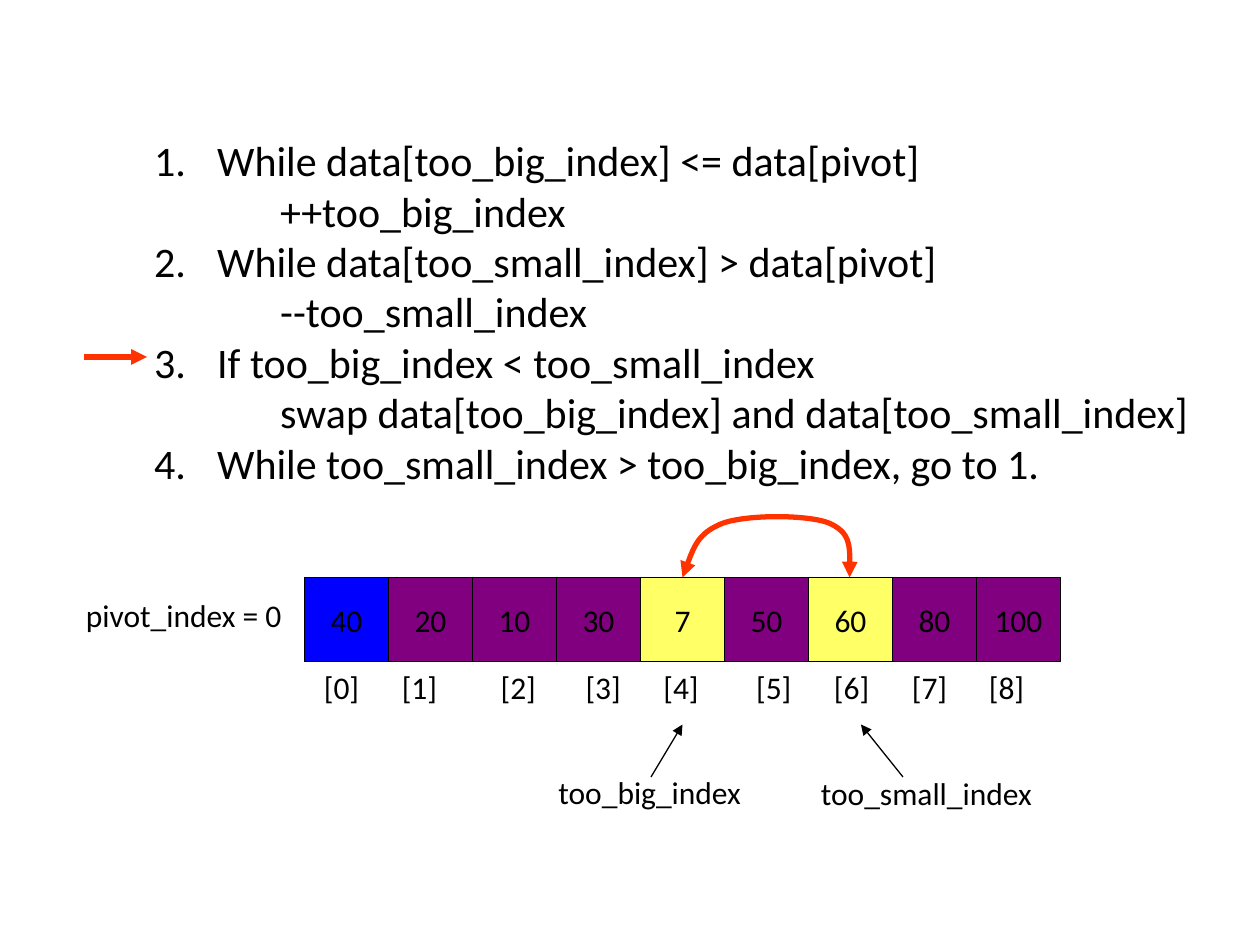
from dataclasses import dataclass

import pptx
import pptx.dml.color
import pptx.enum.shapes
import pptx.enum.text
import pptx.oxml
import pptx.oxml.ns
import pptx.util
from lxml import etree

Pt = pptx.util.Pt
qn = pptx.oxml.ns.qn


@dataclass(frozen=True)
class Theme:
    font: str = "Calibri"
    step_size: float = 24
    label_size: float = 18
    ink: str = "000000"
    pivot: str = "0000FF"
    cell: str = "800080"
    swapped: str = "FFFF66"
    accent: str = "FF3300"
    thin: float = 0.75
    thick: float = 3


@dataclass(frozen=True)
class Label:
    text: str
    left: float
    top: float
    width: float
    wrap: bool = True
    tabs: tuple = ()


@dataclass(frozen=True)
class Arrow:
    start: tuple
    end: tuple
    color: str
    weight: float


THEME = Theme()

# Algorithm steps: (numbered line, indented action)
STEPS = [
    ("While data[too_big_index] <= data[pivot]", "++too_big_index"),
    ("While data[too_small_index] > data[pivot]", "--too_small_index"),
    ("If too_big_index < too_small_index",
     "swap data[too_big_index] and data[too_small_index]"),
    ("While too_small_index > too_big_index, go to 1.", ""),
]

# Array row
VALUES = [40, 20, 10, 30, 7, 50, 60, 80, 100]
CELL_FILLS = {0: THEME.pivot, 4: THEME.swapped, 6: THEME.swapped}
ROW_LEFT, ROW_TOP, CELL_SIDE = 174, 330, 48

LABELS = [
    Label("pivot_index = 0", 42, 337, 129, wrap=False),
    Label("too_big_index", 312, 438, 228),
    Label("too_small_index", 462, 439, 168),
    Label("\t".join(f"[{i}]" for i in range(len(VALUES))), 178, 378, 423,
          tabs=(44.5, 101, 149.5, 194, 247, 291.5, 336, 380)),
]

ARROWS = [
    Arrow((516, 444), (492, 414), THEME.ink, THEME.thin),
    Arrow((372, 444), (390, 414), THEME.ink, THEME.thin),
    Arrow((48, 204), (84, 204), THEME.accent, THEME.thick),
]

# Start point, then three points for each cubic segment
SWAP_CURVE = [
    (390, 330),
    (394.5, 317), (399, 304.5), (413, 299),
    (427, 294), (461.5, 294), (474, 299),
    (486, 304.5), (486, 317), (485.5, 330),
]


def rgb(color: str) -> pptx.dml.color.RGBColor:
    return pptx.dml.color.RGBColor.from_string(color)


def assign(target, values: dict) -> None:
    for name, value in values.items():
        setattr(target, name, value)


def add_span(para, text: str, size: float) -> None:
    span = para.add_run()
    span.text = text
    assign(span.font, {"name": THEME.font, "size": Pt(size)})
    span.font.color.rgb = rgb(THEME.ink)


def style_line(line, color: str, weight: float, ends: tuple = ()) -> None:
    line.color.rgb = rgb(color)
    line.width = Pt(weight)
    for end in ends:
        etree.SubElement(line._ln, qn(f"a:{end}"), type="triangle")


def add_box(page, left: float, top: float, width: float, height: float,
            wrap: bool):
    box = page.shapes.add_textbox(Pt(left), Pt(top), Pt(width), Pt(height))
    assign(box.text_frame, {
        "word_wrap": wrap,
        "auto_size": pptx.enum.text.MSO_AUTO_SIZE.SHAPE_TO_FIT_TEXT,
    })
    return box.text_frame


def add_steps(page) -> None:
    frame = add_box(page, 81, 73.5, 611, 211, wrap=False)
    lines = [(text, level) for step in STEPS
             for level, text in enumerate(step) if text]
    for number, (text, level) in enumerate(lines):
        para = frame.add_paragraph() if number else frame.paragraphs[0]
        para.level = level
        props = para._p.get_or_add_pPr()
        props.set("marL", str(Pt(36 * (level + 1))))
        props.set("indent", str(Pt(0 if level else -36)))
        if level:
            etree.SubElement(props, qn("a:buNone"))
        else:
            etree.SubElement(props, qn("a:buFont"), typeface=THEME.font)
            etree.SubElement(props, qn("a:buAutoNum"), type="arabicPeriod")
        add_span(para, text, THEME.step_size)


def add_label(page, label: Label) -> None:
    frame = add_box(page, label.left, label.top, label.width, 29, label.wrap)
    para = frame.paragraphs[0]
    if label.tabs:
        stops = etree.SubElement(para._p.get_or_add_pPr(), qn("a:tabLst"))
        for position in label.tabs:
            etree.SubElement(stops, qn("a:tab"), pos=str(Pt(position)), algn="l")
    add_span(para, label.text, THEME.label_size)


def add_cell(page, index: int, value: int) -> None:
    cell = page.shapes.add_shape(
        pptx.enum.shapes.MSO_SHAPE.RECTANGLE,
        Pt(ROW_LEFT + index * CELL_SIDE), Pt(ROW_TOP),
        Pt(CELL_SIDE), Pt(CELL_SIDE))
    cell.shadow.inherit = False
    cell.fill.solid()
    cell.fill.fore_color.rgb = rgb(CELL_FILLS.get(index, THEME.cell))
    style_line(cell.line, THEME.ink, THEME.thin)
    assign(cell.text_frame, {
        "word_wrap": False,
        "vertical_anchor": pptx.enum.text.MSO_ANCHOR.MIDDLE,
    })
    para = cell.text_frame.paragraphs[0]
    para.alignment = pptx.enum.text.PP_ALIGN.CENTER
    add_span(para, str(value), THEME.label_size)


def add_arrow(page, arrow: Arrow) -> None:
    line = page.shapes.add_connector(
        pptx.enum.shapes.MSO_CONNECTOR.STRAIGHT,
        *(Pt(value) for value in arrow.start + arrow.end))
    style_line(line.line, arrow.color, arrow.weight, ("tailEnd",))
    etree.SubElement(line._element.spPr, qn("a:effectLst"))


def add_swap_curve(page) -> None:
    points = [(Pt(x), Pt(y)) for x, y in SWAP_CURVE]
    builder = page.shapes.build_freeform(*points[0])
    builder.add_line_segments(points[1:], close=False)
    curve = builder.convert_to_shape()
    curve.shadow.inherit = False
    curve.fill.background()
    style_line(curve.line, THEME.accent, THEME.thick, ("headEnd", "tailEnd"))
    # Turn each three straight segments into one cubic segment
    outline = next(curve._element.iter(qn("a:path")))
    segments = outline.findall(qn("a:lnTo"))
    for first in range(0, len(segments), 3):
        cubic = etree.SubElement(outline, qn("a:cubicBezTo"))
        for segment in segments[first:first + 3]:
            cubic.append(segment[0])
            outline.remove(segment)


def main() -> None:
    deck = pptx.Presentation()
    assign(deck, {"slide_width": Pt(720), "slide_height": Pt(540)})
    page = deck.slides.add_slide(deck.slide_layouts[6])
    add_steps(page)
    for index, value in enumerate(VALUES):
        add_cell(page, index, value)
    for label in LABELS:
        add_label(page, label)
    for arrow in ARROWS:
        add_arrow(page, arrow)
    add_swap_curve(page)
    deck.save("out.pptx")


if __name__ == "__main__":
    main()
